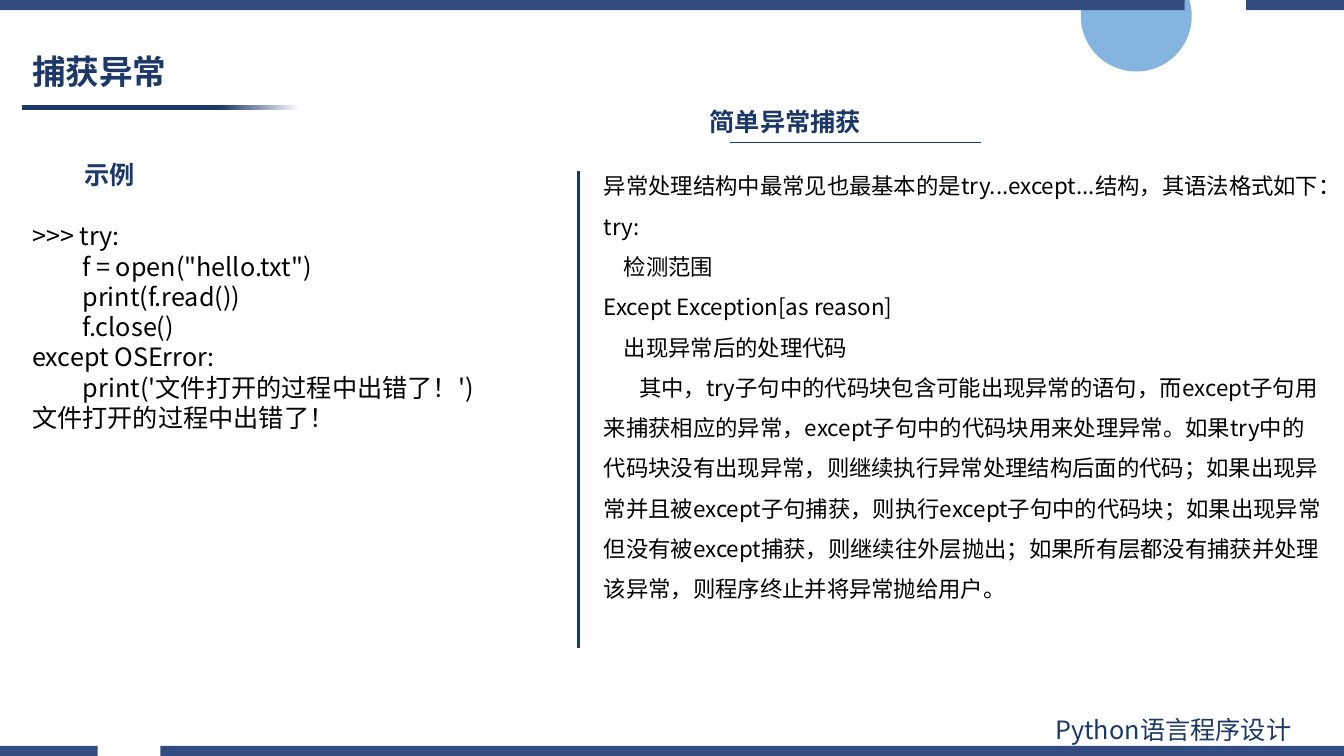
from lxml import etree
from pptx import Presentation
from pptx.dml.color import RGBColor
from pptx.enum.shapes import MSO_CONNECTOR as Conn, MSO_SHAPE as Shape
from pptx.enum.text import MSO_ANCHOR as Anchor, MSO_AUTO_SIZE as Auto
from pptx.oxml.ns import qn
from pptx.util import Inches, Pt

FONT = "Noto Sans CJK SC"
NAVY, BAR, SKY, BLACK, WHITE = "1B3868", "334D80", "5B9BD5", "000000", "FFFFFF"
WIDE, HIGH = 13.33, 7.5

CODE = [
    ">>> try:",
    "    \tf = open(\"hello.txt\")",
    "    \tprint(f.read())",
    "    \tf.close()",
    "except OSError:",
    "         print('文件打开的过程中出错了！')",
    "文件打开的过程中出错了！",
]

# Text, left margin and first-line indent
NOTES = [
    ("异常处理结构中最常见也最基本的是try...except...结构，其语法格式如下：", 0, 0),
    ("try:", 0, 0),
    ("检测范围", 0.2, 0),
    ("Except Exception[as reason]", 0, 0),
    ("出现异常后的处理代码", 0.2, 0),
    ("其中，try子句中的代码块包含可能出现异常的语句，而except子句用来捕获相应的异常，"
     "except子句中的代码块用来处理异常。如果try中的代码块没有出现异常，则继续执行"
     "异常处理结构后面的代码；如果出现异常并且被except子句捕获，则执行except子句中的"
     "代码块；如果出现异常但没有被except捕获，则继续往外层抛出；如果所有层都没有捕获"
     "并处理该异常，则程序终止并将异常抛给用户。", 0, 0.35),
]


def color(code):
    return RGBColor.from_string(code)


def paint(shape, code):
    shape.shadow.inherit = False
    shape.line.fill.background()
    shape.fill.solid()
    shape.fill.fore_color.rgb = color(code)


def add_bar(slide, top, spans):
    """Draw one edge bar made of several (left, right) spans."""
    low = top + 0.1
    form = None
    for left, right in spans:
        if form is None:
            form = slide.shapes.build_freeform(Inches(left), Inches(top))
        else:
            form.move_to(Inches(left), Inches(top))
        corners = [(right, top), (right, low), (left, low)]
        form.add_line_segments([(Inches(x), Inches(y)) for x, y in corners])
    paint(form.convert_to_shape(), BAR)


def add_disc(slide, left, top, size):
    disc = slide.shapes.add_shape(
        Shape.OVAL, Inches(left), Inches(top), Inches(size), Inches(size))
    paint(disc, SKY)
    tint = disc.fill._xPr.find(".//" + qn("a:srgbClr"))
    etree.SubElement(tint, qn("a:alpha")).set("val", "75000")


def add_fade(slide, left, top, width, height):
    fade = slide.shapes.add_shape(
        Shape.RECTANGLE, Inches(left), Inches(top), Inches(width), Inches(height))
    paint(fade, NAVY)
    fade.fill.gradient()
    fade.fill.gradient_angle = 0
    for stop, (code, place) in zip(fade.fill.gradient_stops, [(NAVY, 0.71), (WHITE, 1)]):
        stop.color.rgb = color(code)
        stop.position = place


def add_line(slide, start, end, width):
    line = slide.shapes.add_connector(
        Conn.STRAIGHT, *[Inches(n) for n in (*start, *end)])
    line.line.color.rgb = color(NAVY)
    line.line.width = Pt(width)
    etree.SubElement(line._element.spPr, qn("a:effectLst"))


def add_text(slide, area, lines, size, code=NAVY, bold=False, space=1.0):
    """Add a text box; each line is (text, left margin, first-line indent)."""
    box = slide.shapes.add_textbox(*[Inches(n) for n in area])
    frame = box.text_frame
    frame.word_wrap = True
    frame.auto_size = Auto.SHAPE_TO_FIT_TEXT
    for i, (text, margin, indent) in enumerate(lines):
        para = frame.add_paragraph() if i else frame.paragraphs[0]
        para.text = text
        para.line_spacing = space
        props = para._p.get_or_add_pPr()
        props.set("marL", str(Inches(margin)))
        props.set("indent", str(Inches(indent)))
        font = para.font
        font.name, font.size, font.bold = FONT, Pt(size), bold
        font.color.rgb = color(code)
        etree.SubElement(font._rPr, qn("a:ea")).set("typeface", FONT)
    return frame


def add_label(slide, area, text, size, **style):
    return add_text(slide, area, [(text, 0, 0)], size, **style)


def main():
    deck = Presentation()
    deck.slide_width, deck.slide_height = Inches(WIDE), Inches(HIGH)
    slide = deck.slides.add_slide(deck.slide_layouts[6])

    # Frame of the page
    add_disc(slide, 10.72, -0.39, 1.1)
    add_fade(slide, 0.22, 1.04, 2.76, 0.05)
    add_bar(slide, HIGH - 0.1, [(1.59, WIDE), (0, 0.97)])
    add_bar(slide, 0, [(0, 11.75), (12.36, WIDE)])
    add_label(slide, (10.37, 7.04, 2.94, 0.4), "Python语言程序设计", 18)

    # Title
    title = add_label(slide, (0.22, 0.45, 3.58, 0.56), "捕获异常", 24, bold=True, space=0.9)
    title.auto_size = Auto.NONE
    title.vertical_anchor = Anchor.MIDDLE

    # Syntax on the right
    add_text(slide, (5.89, 1.53, 7.32, 4.91), NOTES, 16, code=BLACK, space=1.5)
    add_line(slide, (5.74, 1.7), (5.74, 6.43), 2)
    add_label(slide, (6.94, 1.01, 3.4, 0.4), "简单异常捕获", 18, bold=True)
    add_line(slide, (7.24, 1.41), (9.73, 1.41), 0.5)

    # Example on the left
    add_label(slide, (0.74, 1.53, 2.73, 0.4), "示例", 18, bold=True)
    add_text(slide, (0.22, 2.14, 5.13, 2.52), [(row, 0, 0) for row in CODE], 18, code=BLACK)

    deck.save("out.pptx")


if __name__ == "__main__":
    main()
